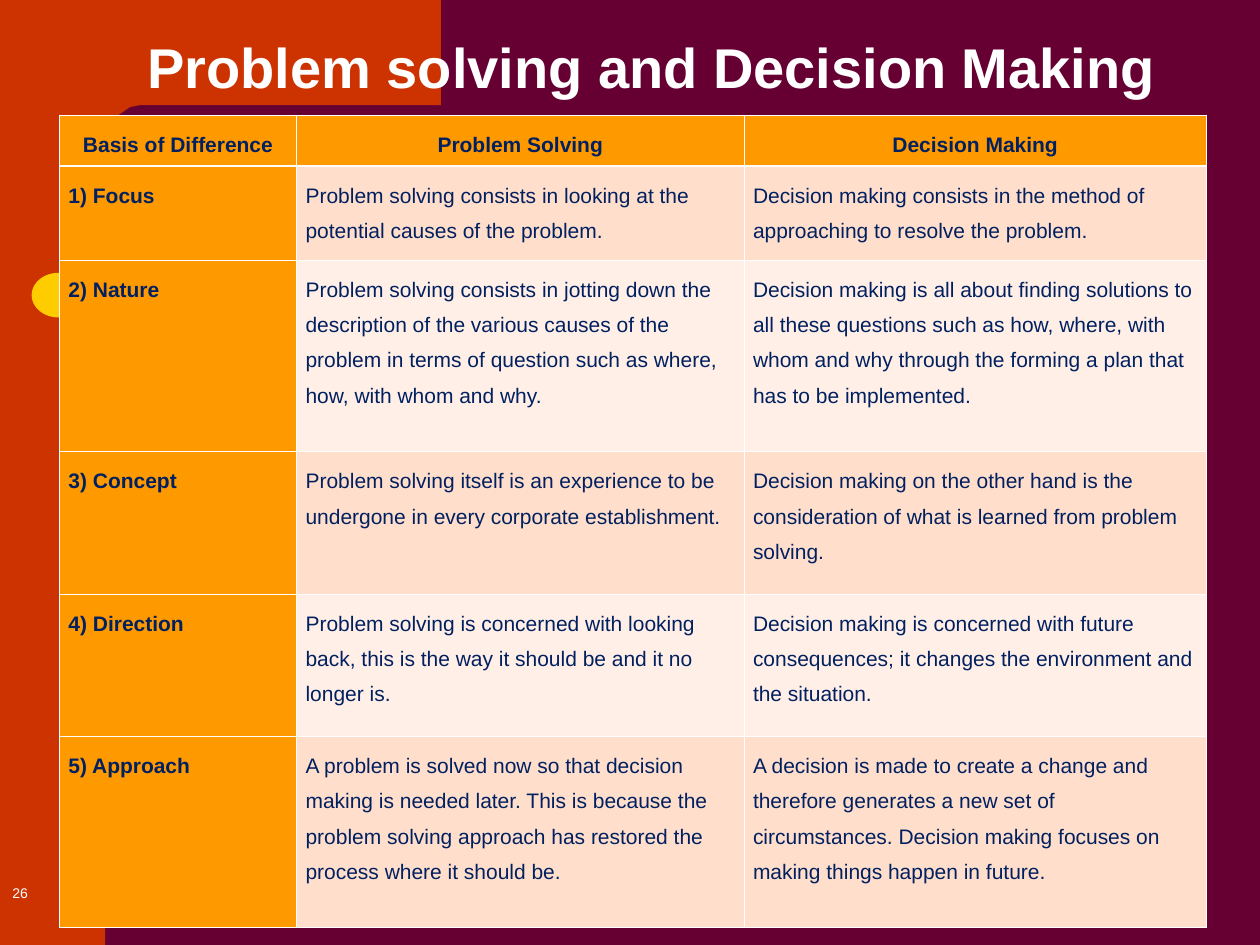
import pptx
import pptx.dml.color
import pptx.enum.shapes
import pptx.enum.text
import pptx.oxml.ns
import pptx.util
from lxml import etree

Cm = pptx.util.Cm
Pt = pptx.util.Pt
SHAPE = pptx.enum.shapes.MSO_SHAPE
ALIGN = pptx.enum.text.PP_ALIGN

COLORS = {
    "background": "660033",
    "band": "CC3300",
    "marker": "FFCC00",
    "white": "FFFFFF",
    "header": "FF9900",
    "odd": "FFDECB",
    "even": "FFEFE7",
    "text": "002060",
}
FONT = "Arial"
COLUMNS = [4.78, 9.02, 9.32]
ROWS = [
    (0.94, "Basis of Difference", "Problem Solving", "Decision Making"),
    (1.9, "1) Focus",
     "Problem solving consists in looking at the potential causes of the problem.",
     "Decision making consists in the method of approaching to resolve the problem."),
    (3.86, "2) Nature",
     "Problem solving consists in jotting down the description of the various causes "
     "of the problem in terms of question such as where, how, with whom and why.",
     "Decision making is all about finding solutions to all these questions such as how, "
     "where, with whom and why through the forming a plan that has to be implemented."),
    (2.87, "3) Concept",
     "Problem solving itself is an experience to be undergone in every corporate "
     "establishment.",
     "Decision making on the other hand is the consideration of what is learned from "
     "problem solving."),
    (2.87, "4) Direction",
     "Problem solving is concerned with looking back, this is the way it should be and "
     "it no longer is.",
     "Decision making is concerned with future consequences; it changes the environment "
     "and the situation."),
    (3.86, "5) Approach",
     "A problem is solved now so that decision making is needed later. This is because "
     "the problem solving approach has restored the process where it should be.",
     "A decision is made to create a change and therefore generates a new set of "
     "circumstances. Decision making focuses on making things happen in future."),
]


def set_fill(fill, color):
    fill.solid()
    fill.fore_color.rgb = pptx.dml.color.RGBColor.from_string(COLORS[color])


def style_shape(sp, color):
    set_fill(sp.fill, color)
    sp.line.fill.background()
    sp.shadow.inherit = False


def add_block(s, kind, x, y, w, h, color):
    sp = s.shapes.add_shape(kind, Cm(x), Cm(y), Cm(w), Cm(h))
    style_shape(sp, color)
    return sp


def add_outline(s, points, color):
    corners = [(Cm(x), Cm(y)) for x, y in points]
    builder = s.shapes.build_freeform(*corners[0])
    builder.add_line_segments(corners[1:], close=True)
    style_shape(builder.convert_to_shape(), color)


def write(tf, text, size, color, bold=False):
    p = tf.paragraphs[0]
    p.text = text
    font = p.runs[0].font
    font.name, font.size, font.bold = FONT, Pt(size), bold
    font.color.rgb = pptx.dml.color.RGBColor.from_string(COLORS[color])
    return p


def add_text(s, text, x, y, w, h, size, bold=False):
    tf = s.shapes.add_textbox(Cm(x), Cm(y), Cm(w), Cm(h)).text_frame
    tf.word_wrap = True
    write(tf, text, size, "white", bold)


def set_borders(cell, widths):
    # Borders come before the fill in the cell properties
    props = cell._tc.get_or_add_tcPr()
    for i, (side, width) in enumerate(widths.items()):
        ln = etree.Element(pptx.oxml.ns.qn(f"a:ln{side}"), w=str(Pt(width)))
        solid = etree.SubElement(ln, pptx.oxml.ns.qn("a:solidFill"))
        etree.SubElement(solid, pptx.oxml.ns.qn("a:srgbClr"), val=COLORS["white"])
        props.insert(i, ln)


def add_comparison(s, x, y):
    heights = [row[0] for row in ROWS]
    table = s.shapes.add_table(len(ROWS), len(COLUMNS), Cm(x), Cm(y),
                               Cm(sum(COLUMNS)), Cm(sum(heights))).table
    for column, width in zip(table.columns, COLUMNS):
        column.width = Cm(width)
    for i, (height, *texts) in enumerate(ROWS):
        table.rows[i].height = Cm(height)
        for j, text in enumerate(texts):
            cell = table.cell(i, j)
            heading = i == 0 or j == 0
            cell.margin_left = cell.margin_right = Cm(0.18)
            cell.margin_top = cell.margin_bottom = Cm(0.13)
            p = write(cell.text_frame, text, 12, "text", heading)
            p.line_spacing = 1.5
            p.alignment = ALIGN.CENTER if i == 0 else ALIGN.LEFT
            set_fill(cell.fill, "header" if heading else "odd" if i % 2 else "even")
            set_borders(cell, {"L": 0.45, "R": 0.45,
                               "T": 1.47 if i == 1 else 0.45,
                               "B": 1.47 if i == 0 else 0.45})


def main():
    prs = pptx.Presentation()
    prs.slide_width, prs.slide_height = Cm(25.4), Cm(19.05)
    s = prs.slides.add_slide(prs.slide_layouts[6])
    set_fill(s.background.fill, "background")

    # Red bands with a rounded inner corner
    add_block(s, SHAPE.RECTANGLE, 0, 0, 2.12, 19.05, "band")
    add_outline(s, [(8.89, 0), (8.89, 2.12), (2.82, 2.12), (2.62, 2.16), (2.36, 2.34),
                    (2.18, 2.64), (2.12, 2.95), (2.12, 3.25), (1.27, 3.25), (1.27, 0)],
                "band")

    # Yellow marker, rounded to the left
    marker = add_block(s, SHAPE.FLOWCHART_DELAY, 0.64, 5.5, 1.08, 0.9, "marker")
    marker.element.spPr.xfrm.set("flipH", "1")

    # Slide number and title
    add_text(s, "26", 0, 17.7, 1.63, 1.35, 8)
    add_text(s, "Problem solving and Decision Making", 2.72, 0.53, 21.59, 1.63, 32, True)

    # Comparison table
    add_comparison(s, 1.2, 2.32)

    prs.save("out.pptx")


if __name__ == "__main__":
    main()
